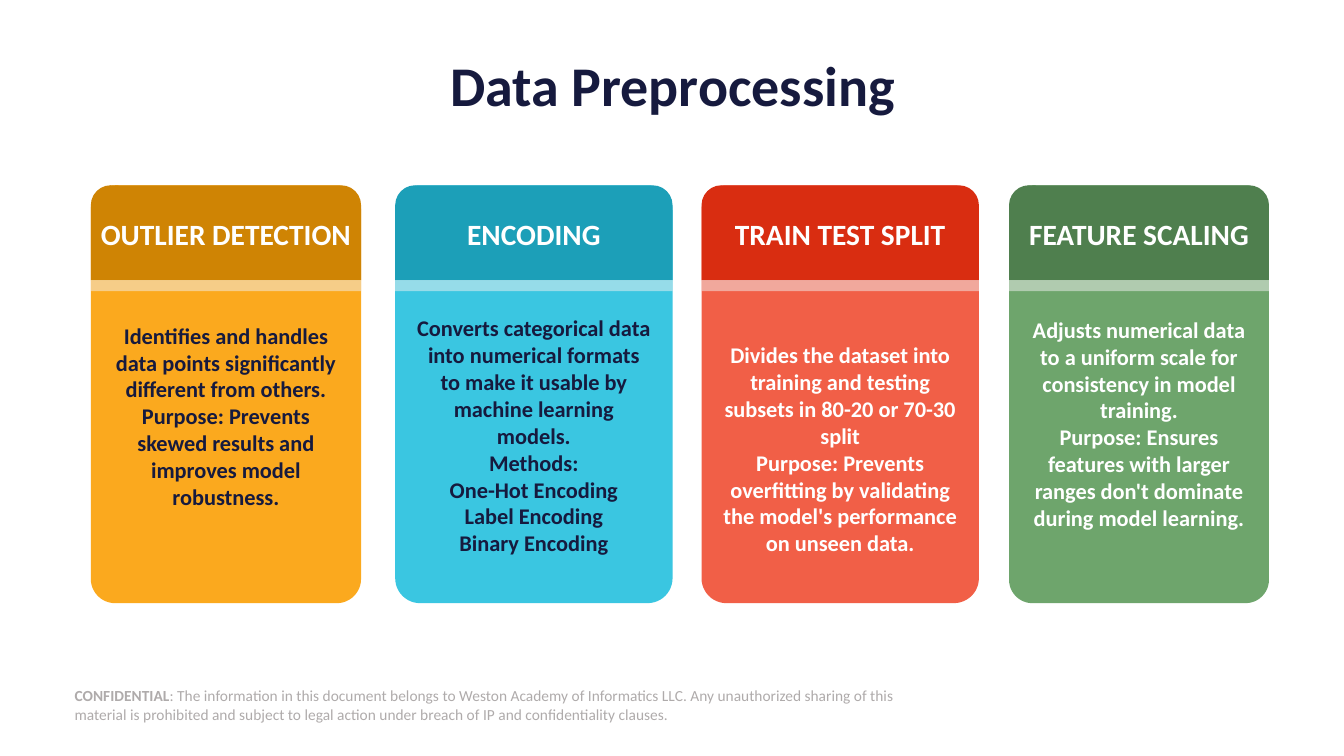
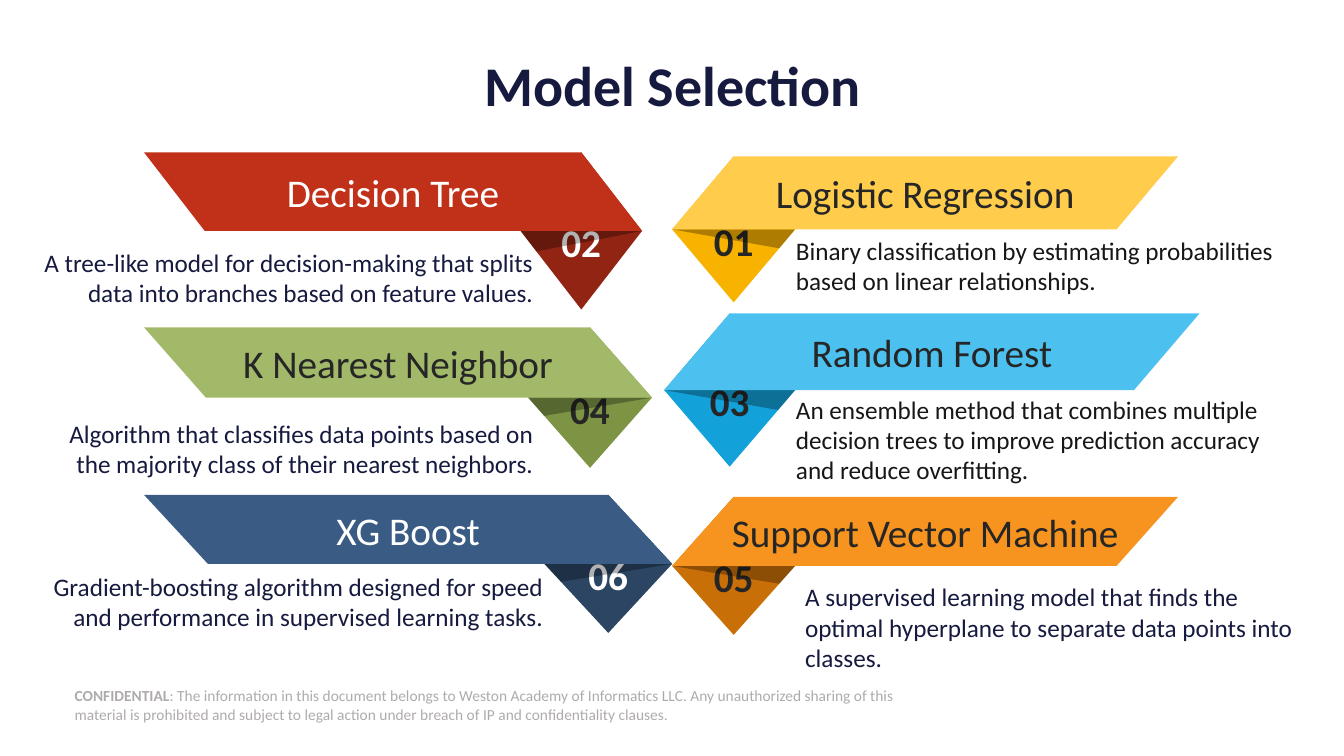
import pptx
import pptx.dml.color
import pptx.enum.shapes
import pptx.enum.text
import pptx.oxml
import pptx.oxml.ns
import pptx.util

Cm = pptx.util.Cm
RGB = pptx.dml.color.RGBColor
ALIGN = pptx.enum.text.PP_ALIGN
ANCHOR = pptx.enum.text.MSO_ANCHOR
SHAPE = pptx.enum.shapes.MSO_SHAPE

NAVY = RGB(0x16, 0x1A, 0x3E)
WHITE = RGB(0xFF, 0xFF, 0xFF)
BLACK = RGB(0x00, 0x00, 0x00)
CHARCOAL = RGB(0x26, 0x26, 0x26)
INK = RGB(0x18, 0x17, 0x17)
GREY = RGB(0xAF, 0xAB, 0xAB)
PALE = RGB(0xF2, 0xF2, 0xF2)
AMBER, DARK_AMBER = RGB(0xFB, 0xA9, 0x1E), RGB(0xCF, 0x84, 0x04)
CYAN, DARK_CYAN = RGB(0x3A, 0xC6, 0xE1), RGB(0x1C, 0x9F, 0xB8)
CORAL, DARK_CORAL = RGB(0xF1, 0x5F, 0x47), RGB(0xD9, 0x2D, 0x11)
SAGE, DARK_SAGE = RGB(0x6E, 0xA5, 0x6C), RGB(0x4F, 0x7F, 0x4E)
RED, DARK_RED = RGB(0xC1, 0x30, 0x18), RGB(0x91, 0x24, 0x12)
YELLOW, DARK_YELLOW = RGB(0xFF, 0xCC, 0x4C), RGB(0xF8, 0xB2, 0x00)
OLIVE, DARK_OLIVE = RGB(0xA2, 0xB9, 0x69), RGB(0x7E, 0x94, 0x45)
SKY, DARK_SKY = RGB(0x4C, 0xC1, 0xEF), RGB(0x13, 0xA1, 0xD9)
ORANGE, DARK_ORANGE = RGB(0xF7, 0x93, 0x1F), RGB(0xC9, 0x6F, 0x07)
STEEL, DARK_STEEL = RGB(0x3A, 0x5C, 0x84), RGB(0x2B, 0x45, 0x63)


def paint(shape, color, opacity=100):
    """Give a shape a plain fill with no line or shadow; opacity is in percent."""
    shape.shadow.inherit = False
    shape.line.fill.background()
    shape.fill.solid()
    shape.fill.fore_color.rgb = color
    if opacity < 100:
        fill = shape.element.find(".//" + pptx.oxml.ns.qn("a:srgbClr"))
        fill.append(pptx.oxml.parse_xml(
            f'<a:alpha {pptx.oxml.ns.nsdecls("a")} val="{opacity * 1000}"/>'))


def write(shape, paragraphs, size, color, bold=False, align=ALIGN.CENTER,
          anchor=ANCHOR.MIDDLE, margins=(0, 0, 0, 0)):
    """Fill a shape with paragraphs, each a list of runs; margins are left, top, right, bottom in cm."""
    frame = shape.text_frame
    left, top, right, bottom = map(Cm, margins)
    frame_format = {"word_wrap": True, "auto_size": pptx.enum.text.MSO_AUTO_SIZE.NONE,
                    "vertical_anchor": anchor, "margin_left": left, "margin_top": top,
                    "margin_right": right, "margin_bottom": bottom}
    for name, value in frame_format.items():
        setattr(frame, name, value)
    font_format = {"name": "Calibri", "size": pptx.util.Pt(size), "bold": bold}
    for index, runs in enumerate(paragraphs):
        para = frame.add_paragraph() if index else frame.paragraphs[0]
        para.alignment = align
        for text in runs:
            span = para.add_run()
            span.text = text
            for name, value in font_format.items():
                setattr(span.font, name, value)
            span.font.color.rgb = color


deck = pptx.Presentation()
deck.slide_width, deck.slide_height = Cm(33.87), Cm(19.05)
layout = deck.slide_layouts.get_by_name("Title Only")
layout_title = layout.placeholders[0]
title_place = {"left": Cm(1.42), "top": Cm(1.37), "width": Cm(31.06), "height": Cm(1.7)}
for name, value in title_place.items():
    setattr(layout_title, name, value)

pages = []
for title in ("Data Preprocessing", "Model Selection"):
    page = deck.slides.add_slide(layout)
    write(page.shapes.title, [[title]], 40, NAVY, bold=True)
    page.shapes.title.text_frame.paragraphs[0].line_spacing = 0.9
    pages.append(page)
cards_page, models_page = pages

# The notice is moved to the layout, so that every slide shows it.
notice = cards_page.shapes.add_textbox(Cm(1.88), Cm(17.25), Cm(20.75), Cm(1.02))
write(notice, [["CONFIDENTIAL",
                ": The information in this document belongs to Weston Academy of Informatics LLC. "
                "Any unauthorized sharing of this material is prohibited and subject to legal "
                "action under breach of IP and confidentiality clauses."]],
      11, GREY, align=ALIGN.LEFT)
notice.text_frame.paragraphs[0].runs[0].font.bold = True
notice.element.xpath(".//p:cNvPr")[0].set("id", "20")
layout_title.element.addnext(notice.element)

# Data Preprocessing: heading, left, width, text bottom, colours, paragraphs
cards = [
    ("OUTLIER DETECTION", 2.29, 6.81, 12.98, AMBER, DARK_AMBER, NAVY,
     ["Identifies and handles data points significantly different from others.",
      "Purpose: Prevents skewed results and improves model robustness."]),
    ("ENCODING", 9.96, 6.99, 14.15, CYAN, DARK_CYAN, NAVY,
     ["Converts categorical data into numerical formats to make it usable by machine "
      "learning models.",
      "Methods:", "One-Hot Encoding", "Label Encoding", "Binary Encoding"]),
    ("TRAIN TEST SPLIT", 17.68, 6.99, 14.15, CORAL, DARK_CORAL, WHITE,
     ["Divides the dataset into training and testing subsets in 80-20 or 70-30 split",
      "Purpose: Prevents overfitting by validating the model's performance on unseen data."]),
    ("FEATURE SCALING", 25.43, 6.55, 13.51, SAGE, DARK_SAGE, WHITE,
     ["Adjusts numerical data to a uniform scale for consistency in model training.",
      "Purpose: Ensures features with larger ranges don't dominate during model learning."]),
]
CARD_TOP, CARD_HEIGHT, HEADER_HEIGHT, BAND_HEIGHT = 4.67, 10.53, 2.39, 0.28
BAND_TOP = CARD_TOP + HEADER_HEIGHT
TEXT_TOP, TEXT_PAD = 7.75, 0.54

for heading, left, width, text_bottom, color, dark, text_color, lines in cards:
    shapes = cards_page.shapes
    card = shapes.add_shape(SHAPE.ROUNDED_RECTANGLE, Cm(left), Cm(CARD_TOP),
                            Cm(width), Cm(CARD_HEIGHT))
    card.adjustments[0] = 0.09
    paint(card, color)
    header = shapes.add_shape(SHAPE.ROUND_2_SAME_RECTANGLE, Cm(left), Cm(CARD_TOP),
                              Cm(width), Cm(HEADER_HEIGHT))
    header.adjustments[0] = 0.21
    paint(header, dark)
    write(header, [[heading]], 21, WHITE, bold=True, margins=(0, 0, 0, 0.1))
    band = shapes.add_shape(SHAPE.RECTANGLE, Cm(left), Cm(BAND_TOP), Cm(width), Cm(BAND_HEIGHT))
    paint(band, PALE, opacity=50)
    box = shapes.add_textbox(Cm(left + TEXT_PAD), Cm(TEXT_TOP),
                             Cm(width - 2 * TEXT_PAD), Cm(text_bottom - TEXT_TOP))
    write(box, [[line] for line in lines], 16, text_color, bold=True,
          anchor=ANCHOR.BOTTOM, margins=(0, 0.13, 0, 0.13))

# Model Selection: number, name, inner tip, outer edge, fold level, half width and
# half height of the diamond, colours, then place, colour and words of the description
models = [
    ("02", "Decision Tree", 16.18, 3.63, 5.82, 1.53, 1.98, RED, DARK_RED, WHITE,
     (0.74, 6.1, 12.95), NAVY,
     "A tree-like model for decision-making that splits data into branches based on "
     "feature values."),
    ("01", "Logistic Regression", 16.94, 29.69, 5.78, 1.55, 1.84, YELLOW, DARK_YELLOW, CHARCOAL,
     (19.81, 5.79, 13.34), INK,
     "Binary classification by estimating probabilities based on linear relationships."),
    ("04", "K Nearest Neighbor", 16.43, 3.63, 10.02, 1.56, 1.77, OLIVE, DARK_OLIVE, CHARCOAL,
     (0.74, 10.41, 12.95), NAVY,
     "Algorithm that classifies data points based on the majority class of their nearest "
     "neighbors."),
    ("03", "Random Forest", 16.74, 30.23, 9.83, 1.65, 1.93, SKY, DARK_SKY, CHARCOAL,
     (19.81, 9.8, 12.95), INK,
     "An ensemble method that combines multiple decision trees to improve prediction "
     "accuracy and reduce overfitting."),
    ("05", "Support Vector Machine", 16.94, 29.69, 14.26, 1.55, 1.74, ORANGE, DARK_ORANGE, CHARCOAL,
     (20.04, 14.53, 13.49), NAVY,
     "A supervised learning model that finds the optimal hyperplane to separate data "
     "points into classes."),
    ("06", "XG Boost", 16.94, 3.63, 14.21, 1.61, 1.74, STEEL, DARK_STEEL, WHITE,
     (0.3, 14.27, 13.64), NAVY,
     "Gradient-boosting algorithm designed for speed and performance in supervised "
     "learning tasks."),
]

for (number, model, tip, outer, fold, half_width, half_height, color, dark, label_color,
     (left, top, width), text_color, description) in models:
    on_left = outer < tip
    step = -half_width if on_left else half_width  # from the tip towards the outer edge
    center, far = tip + step, tip + 2 * step
    diamond = [(center, fold - half_height), (tip, fold), (center, fold + half_height), (far, fold)]
    shade = [(tip, fold), (far, fold), (far - 0.26 * step, fold + 0.26 * half_height)]
    banner = [(center, fold - half_height), (tip, fold), (outer - step, fold),
              (outer, fold - half_height)]
    layers = [(diamond, dark, 100, number, True, 0.64),
              (shade, BLACK, 30, None, False, 0),
              (banner, color, 100, model, False, 0.08)]
    for points, fill, opacity, label, bold, label_top in layers:
        start, *rest = [(Cm(x), Cm(y)) for x, y in points]
        builder = models_page.shapes.build_freeform(*start)
        builder.add_line_segments(rest, close=True)
        shape = builder.convert_to_shape()
        paint(shape, fill, opacity)
        if label:
            write(shape, [[label]], 28, label_color, bold=bold,
                  margins=(0.08, label_top, 0.08, 0.08))

    box = models_page.shapes.add_textbox(Cm(left), Cm(top), Cm(width), Cm(1.8))
    write(box, [[description]], 18, text_color, align=ALIGN.RIGHT if on_left else ALIGN.LEFT,
          anchor=ANCHOR.TOP, margins=(0.25, 0.13, 0.25, 0.13))

deck.save("out.pptx")
